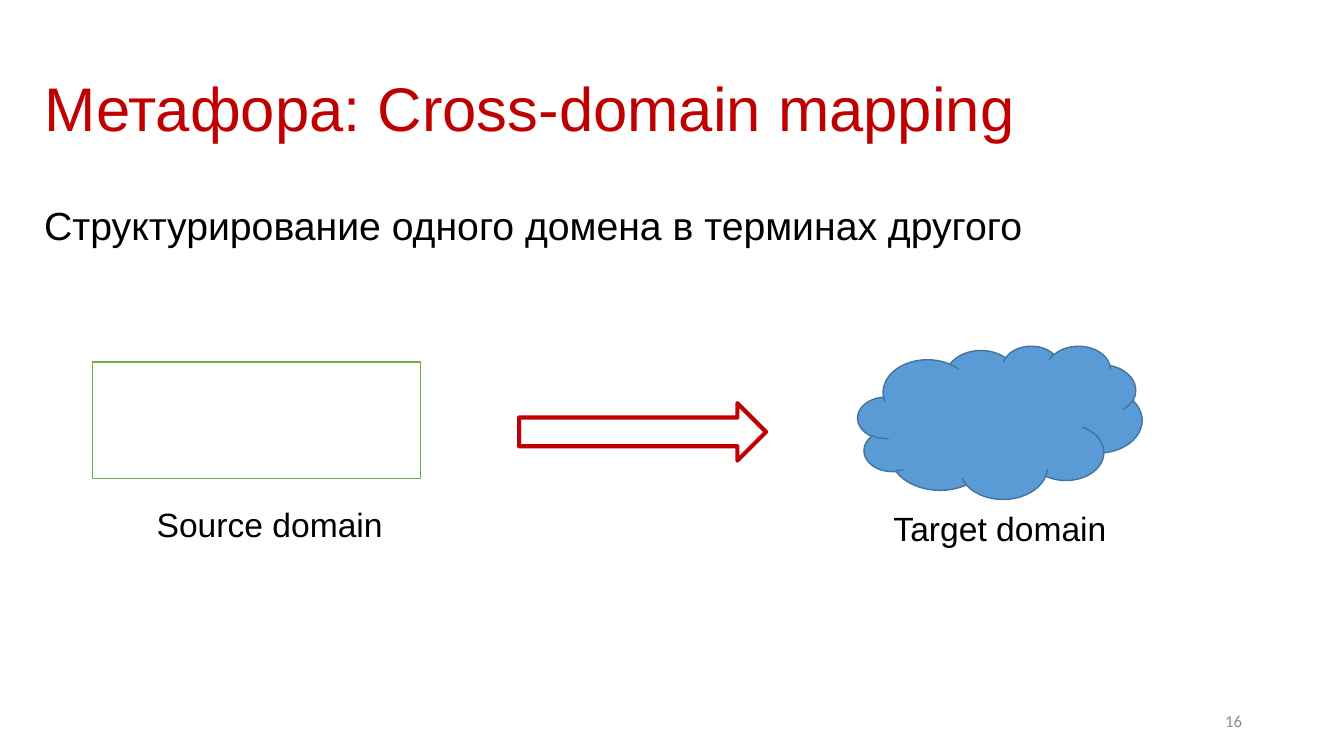
from collections import namedtuple

from pptx import Presentation
from pptx.dml.color import RGBColor
from pptx.enum.shapes import MSO_SHAPE
from pptx.enum.text import MSO_ANCHOR, PP_ALIGN
from pptx.util import Inches, Pt

# Grid: ten columns and ten rows to the inch
CELL = Inches(0.1)
COLUMNS, ROWS = 133.33, 75

COLORS = {
    "red": "C00000",
    "black": "000000",
    "white": "FFFFFF",
    "gray": "8C8C8C",
    "green": "70AD47",
    "blue": "5B9BD5",
    "dark_blue": "43739E",
}

TITLE = {"size": Pt(44), "name": "Arial", "color": "red"}
BODY = {"size": Pt(28), "name": "Arial", "color": "black"}
LABEL = {"size": Pt(24), "name": "Arial", "color": "black"}
NUMBER = {"size": Pt(12), "name": "Calibri", "color": "gray"}


class Box(namedtuple("Box", "left top width height")):
    def inner(self, left, top, width, height):
        """Box placed relative to this one, in grid cells."""
        return Box(self.left + left, self.top + top, width, height)

    def lengths(self):
        return [round(cells * CELL) for cells in self]


def rgb(name):
    return RGBColor.from_string(COLORS[name])


def add_text(slide, box, text, font_format, anchor=MSO_ANCHOR.TOP, **paragraph_format):
    frame = slide.shapes.add_textbox(*box.lengths()).text_frame
    frame.word_wrap = True
    frame.vertical_anchor = anchor
    paragraph = frame.paragraphs[0]
    for attribute, value in paragraph_format.items():
        setattr(paragraph, attribute, value)
    run = paragraph.add_run()
    run.text = text
    for attribute, value in font_format.items():
        if attribute == "color":
            run.font.color.rgb = rgb(value)
        else:
            setattr(run.font, attribute, value)


def add_figure(slide, box, kind, line, line_width, fill=None):
    shape = slide.shapes.add_shape(kind, *box.lengths())
    shape.shadow.inherit = False
    if fill:
        shape.fill.solid()
        shape.fill.fore_color.rgb = rgb(fill)
    else:
        shape.fill.background()
    shape.line.color.rgb = rgb(line)
    shape.line.width = Pt(line_width)


def add_heading(slide, box):
    # Title and the statement below it
    add_text(slide, box.inner(0, 0, 115, 14.5), "Метафора: Cross-domain mapping",
             TITLE, MSO_ANCHOR.MIDDLE, line_spacing=0.9)
    add_text(slide, box.inner(0, 16.2, box.width, 8),
             "Структурирование одного домена в терминах другого",
             BODY, line_spacing=0.9, space_before=Pt(10))


def add_mapping(slide, box):
    # Source, arrow and target
    add_figure(slide, box.inner(0, 1.6, 32.5, 11.6), MSO_SHAPE.RECTANGLE, "green", 1, "white")
    add_figure(slide, box.inner(42.3, 5.7, 24.5, 5.7), MSO_SHAPE.RIGHT_ARROW, "red", 3)
    add_figure(slide, box.inner(75.9, 0, 28.2, 15.2), MSO_SHAPE.CLOUD, "dark_blue", 1, "blue")

    # Domain labels
    labels = {
        "Source domain": box.inner(2.7, 15.2, 29.7, 5),
        "Target domain": box.inner(77.8, 15.6, 24.4, 5),
    }
    for text, label_box in labels.items():
        add_text(slide, label_box, text, LABEL, alignment=PP_ALIGN.CENTER)


def add_slide_number(slide, box):
    add_text(slide, box, "16", NUMBER, MSO_ANCHOR.MIDDLE, alignment=PP_ALIGN.RIGHT)


def main():
    presentation = Presentation()
    presentation.slide_width = round(COLUMNS * CELL)
    presentation.slide_height = ROWS * CELL
    slide = presentation.slides.add_slide(presentation.slide_layouts[6])

    add_heading(slide, Box(3.4, 3.8, 120.7, 24.2))
    add_mapping(slide, Box(9.2, 34.3, 104.1, 20.6))
    add_slide_number(slide, Box(94.2, 69.5, 30, 4))

    presentation.save("out.pptx")


if __name__ == "__main__":
    main()
